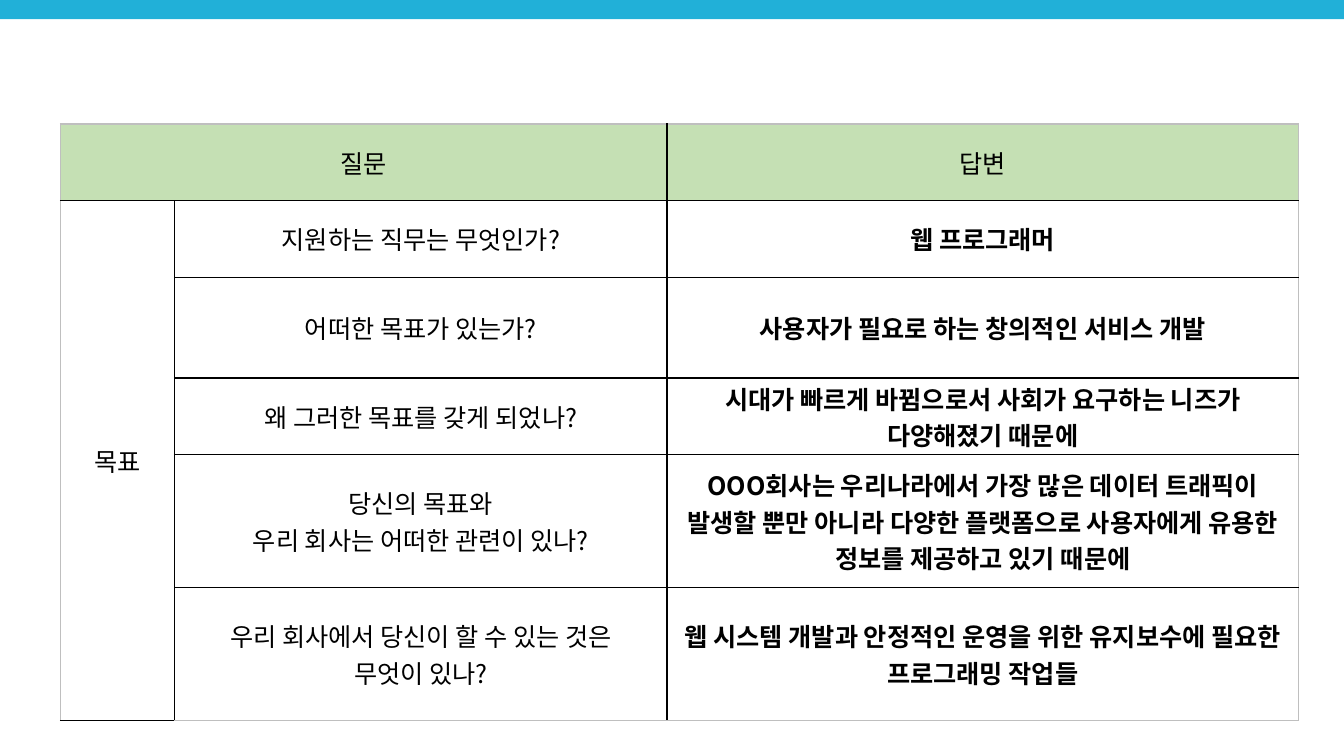
from lxml.etree import SubElement
from pptx import Presentation
from pptx.dml.color import RGBColor
from pptx.enum.shapes import MSO_SHAPE as SHAPE
from pptx.enum.text import MSO_ANCHOR as ANCHOR, PP_ALIGN as ALIGN
from pptx.oxml.ns import qn
from pptx.util import Pt

FONT = "Noto Sans CJK KR"
BLACK, GREY, GREEN, BLUE = "000000", "BFBFBF", "C5E0B4", "21B0D8"
COLS = [81.4, 352, 450.8]
ROWS = [54.7, 54.7, 72, 54.7, 95, 95]
LEFT, TOP = 43.2, 88.6
HEADER = ["질문", "", "답변"]
GOAL = "목표"
ANSWERS = [
    (["지원하는 직무는 무엇인가?"], "웹 프로그래머"),
    (["어떠한 목표가 있는가?"], "사용자가 필요로 하는 창의적인 서비스 개발"),
    (["왜 그러한 목표를 갖게 되었나?"],
     "시대가 빠르게 바뀜으로서 사회가 요구하는 니즈가 다양해졌기 때문에"),
    (["당신의 목표와", "우리 회사는 어떠한 관련이 있나?"],
     "OOO회사는 우리나라에서 가장 많은 데이터 트래픽이 발생할 뿐만 아니라 "
     "다양한 플랫폼으로 사용자에게 유용한 정보를 제공하고 있기 때문에"),
    (["우리 회사에서 당신이 할 수 있는 것은", "무엇이 있나?"],
     "웹 시스템 개발과 안정적인 운영을 위한 유지보수에 필요한 프로그래밍 작업들"),
]


def color(value):
    return RGBColor.from_string(value)


def write(cell, lines, bold=False):
    cell.vertical_anchor = ANCHOR.MIDDLE
    cell.margin_left = cell.margin_right = Pt(7.2)
    cell.margin_top = cell.margin_bottom = Pt(1)
    tf = cell.text_frame
    for i, line in enumerate(lines):
        p = tf.add_paragraph() if i else tf.paragraphs[0]
        p.alignment = ALIGN.CENTER
        r = p.add_run()
        r.text = line
        r.font.size = Pt(18)
        r.font.bold = bold
        r.font.name = FONT
        r.font.color.rgb = color(BLACK)
        SubElement(r.font._element, qn("a:ea"), typeface=FONT)


def border(cell, row, col):
    last_row, last_col = len(ROWS) - 1, len(COLS) - 1
    sides = [("L", col == 0, col == 2), ("R", col == last_col, col == 1),
             ("T", row == 0, False), ("B", row == last_row, False)]
    tc_pr = cell._tc.get_or_add_tcPr()
    for side, outer, divider in sides:
        width = Pt(1.5) if divider else Pt(1)
        ln = SubElement(tc_pr, qn("a:ln" + side), w=str(width))
        fill = SubElement(ln, qn("a:solidFill"))
        SubElement(fill, qn("a:srgbClr"), val=GREY if outer else BLACK)


prs = Presentation()
prs.slide_width, prs.slide_height = Pt(960), Pt(540)
slide = prs.slides.add_slide(prs.slide_layouts[6])

bar = slide.shapes.add_shape(SHAPE.RECTANGLE, 0, 0, Pt(960), Pt(13.7))
bar.shadow.inherit = False
bar.fill.solid()
bar.fill.fore_color.rgb = color(BLUE)
bar.line.fill.background()

table = slide.shapes.add_table(len(ROWS), len(COLS), Pt(LEFT), Pt(TOP),
                               Pt(sum(COLS)), Pt(sum(ROWS))).table
table.first_row = table.horz_banding = False
for column, width in zip(table.columns, COLS):
    column.width = Pt(width)
for row, height in zip(table.rows, ROWS):
    row.height = Pt(height)

for r in range(len(ROWS)):
    for c in range(len(COLS)):
        cell = table.cell(r, c)
        border(cell, r, c)
        if r == 0:
            cell.fill.solid()
            cell.fill.fore_color.rgb = color(GREEN)
        else:
            cell.fill.background()

table.cell(0, 0).merge(table.cell(0, 1))
table.cell(1, 0).merge(table.cell(len(ROWS) - 1, 0))
for c, title in enumerate(HEADER):
    if title:
        write(table.cell(0, c), [title])
write(table.cell(1, 0), [GOAL])
for r, (question, answer) in enumerate(ANSWERS, 1):
    write(table.cell(r, 1), question)
    write(table.cell(r, 2), [answer], bold=True)

prs.save("out.pptx")
